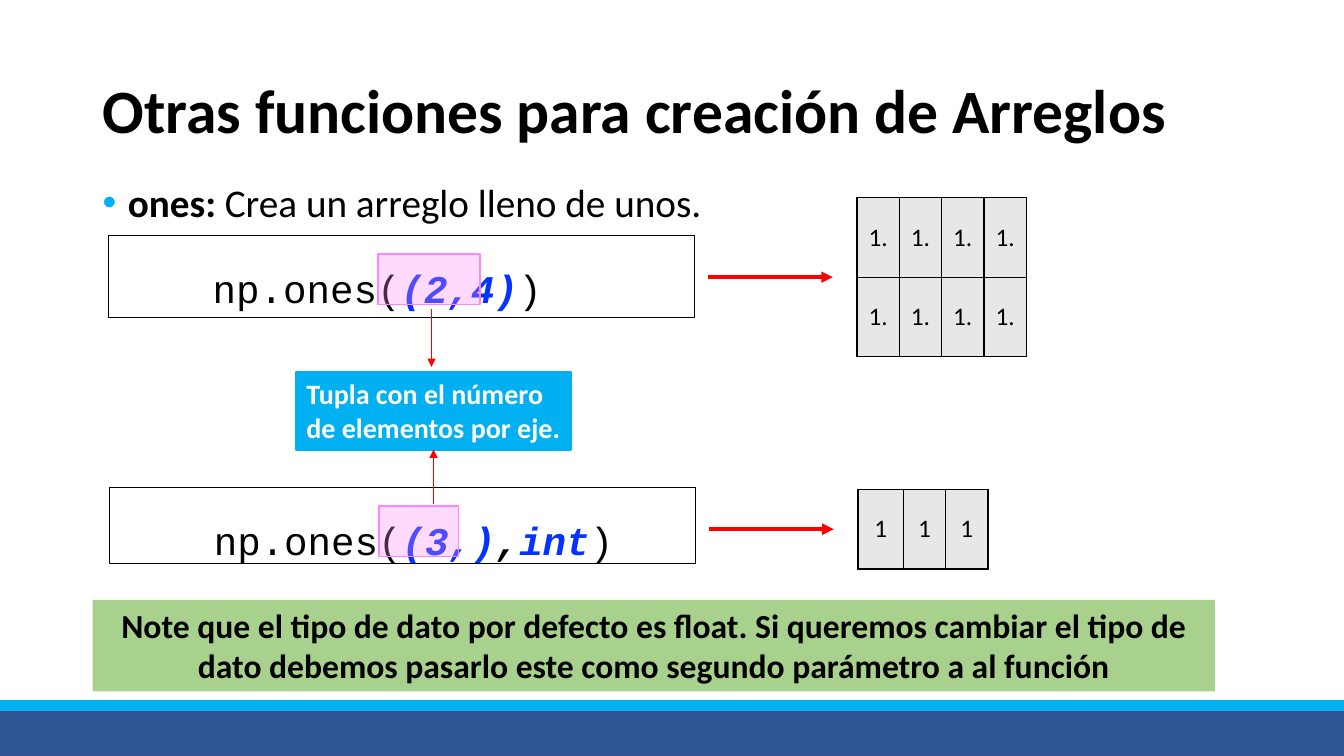
from dataclasses import dataclass

from lxml.etree import SubElement
from pptx import Presentation
from pptx.dml.color import RGBColor
from pptx.enum.shapes import MSO_CONNECTOR, MSO_SHAPE
from pptx.enum.text import MSO_ANCHOR, MSO_AUTO_SIZE, PP_ALIGN
from pptx.oxml.ns import qn
from pptx.util import Inches, Pt


@dataclass(frozen=True)
class Theme:
    black: str = "000000"
    white: str = "FFFFFF"
    sky: str = "00B0F0"
    navy: str = "2F5597"
    edge: str = "325491"
    blue: str = "0432FF"
    red: str = "FF0000"
    pink: str = "FF85FF"
    gray: str = "E7E7E7"
    green: str = "A9D18E"
    sans: str = "Calibri"
    mono: str = "Courier New"
    title: int = 44
    body: int = 28
    note: int = 24
    label: int = 20
    cell: int = 18


THEME = Theme()


def color(code):
    return RGBColor.from_string(code)


def write(frame, runs, size, face=THEME.sans, ink=THEME.black, bold=False,
          align=PP_ALIGN.LEFT, anchor=MSO_ANCHOR.TOP, space=1.0, grow=False, bullet=None):
    frame.word_wrap = True
    frame.vertical_anchor = anchor
    frame.auto_size = MSO_AUTO_SIZE.SHAPE_TO_FIT_TEXT if grow else MSO_AUTO_SIZE.NONE
    para = frame.paragraphs[0]
    para.alignment = align
    para.line_spacing = space
    if bullet:
        props = para._p.get_or_add_pPr()
        props.set("marL", str(Inches(0.25)))
        props.set("indent", str(-Inches(0.25)))
        SubElement(SubElement(props, qn("a:buClr")), qn("a:srgbClr"), val=bullet)
        SubElement(props, qn("a:buFont"), typeface="Arial")
        SubElement(props, qn("a:buChar"), char="•")
    for text, style in [(runs, {})] if isinstance(runs, str) else runs:
        run = para.add_run()
        run.text = text
        font = run.font
        font.name, font.size = face, Pt(size)
        font.bold = style.get("bold", bold)
        font.italic = style.get("italic", False)
        font.color.rgb = color(style.get("ink", ink))


def add_rect(slide, box, fill=None, line=None, width=1, alpha=None):
    rect = slide.shapes.add_shape(MSO_SHAPE.RECTANGLE, *map(Inches, box))
    rect.shadow.inherit = False
    if fill:
        rect.fill.solid()
        rect.fill.fore_color.rgb = color(fill)
        if alpha:
            tone = rect.element.spPr.find(qn("a:solidFill")).find(qn("a:srgbClr"))
            SubElement(tone, qn("a:alpha"), val=str(alpha * 1000))
    else:
        rect.fill.background()
    if line:
        rect.line.color.rgb = color(line)
        rect.line.width = Pt(width)
    else:
        rect.line.fill.background()
    return rect


def add_arrow(slide, start, end, width):
    arrow = slide.shapes.add_connector(MSO_CONNECTOR.STRAIGHT, *map(Inches, start + end))
    arrow.line.color.rgb = color(THEME.red)
    arrow.line.width = Pt(width)
    SubElement(arrow.line._get_or_add_ln(), qn("a:tailEnd"), type="triangle")
    SubElement(arrow._element.spPr, qn("a:effectLst"))
    return arrow


def add_label(slide, box, text, **style):
    write(slide.shapes.add_textbox(*map(Inches, box)).text_frame, text, **style)


def fill_cell(cell, text):
    props = cell._tc.get_or_add_tcPr()
    for side in ("lnL", "lnR", "lnT", "lnB"):
        border = SubElement(props, qn(f"a:{side}"), w=str(Pt(1)))
        SubElement(SubElement(border, qn("a:solidFill")), qn("a:srgbClr"), val=THEME.black)
    cell.fill.solid()
    cell.fill.fore_color.rgb = color(THEME.gray)
    write(cell.text_frame, text, THEME.cell, align=PP_ALIGN.CENTER)
    cell.vertical_anchor = MSO_ANCHOR.MIDDLE


def add_array(slide, left, middle, rows, widths):
    tall = 0.79
    high = tall * len(rows)
    box = (left, middle - high / 2, sum(widths), high)
    table = slide.shapes.add_table(len(rows), len(widths), *map(Inches, box)).table
    table.first_row = table.horz_banding = False
    for column, width in zip(table.columns, widths):
        column.width = Inches(width)
    for line, values in zip(table.rows, rows):
        line.height = Inches(tall)
        for cell, value in zip(line.cells, values):
            fill_cell(cell, value)


def add_sample(slide, box, code, mark, rows, widths):
    left, top, wide, high = box
    middle = top + 0.41
    frame = add_rect(slide, box, line=THEME.black, width=0.75).text_frame
    write(frame, code, THEME.body, face=THEME.mono, space=1.5, grow=True)
    add_rect(slide, (left + 2.67, top + 0.18, mark, 0.5), THEME.pink, THEME.pink, alpha=30)
    add_arrow(slide, (left + wide + 0.13, middle), (left + wide + 1.37, middle), 2.75)
    add_array(slide, left + wide + 1.61, middle, rows, widths)


def add_tuple(slide, box):
    left, top, wide, high = box
    center = left + wide / 2
    rect = add_rect(slide, box, THEME.sky, THEME.sky, 1.5)
    write(rect.text_frame, "Tupla con el número de elementos por eje.", THEME.label,
          ink=THEME.white, bold=True, grow=True)
    add_arrow(slide, (center - 0.02, top - 0.62), (center - 0.02, top - 0.05), 0.5)
    rise = add_arrow(slide, (center, top + high + 0.54), (center, top + high), 0.5)
    rise.end_connect(rect, 2)


def add_footer(slide, box):
    left, top, wide, high = box
    add_rect(slide, (left, top + 0.08, wide, high - 0.08), THEME.navy, THEME.edge)
    add_rect(slide, (left, top, wide, 0.1), THEME.sky, THEME.sky)


def add_head(slide, box):
    left, top, wide, high = box
    add_label(slide, (left, top, wide, 1.45), "Otras funciones para creación de Arreglos",
              size=THEME.title, bold=True, anchor=MSO_ANCHOR.MIDDLE, space=0.9)
    add_label(slide, (left, top + 1.37, wide, high - 1.37),
              [("ones: ", {"bold": True}), ("Crea un arreglo lleno de unos.", {})],
              size=THEME.body, space=0.9, bullet=THEME.sky)


def add_note(slide, box):
    write(add_rect(slide, box, THEME.green).text_frame,
          "Note que el tipo de dato por defecto es float. Si queremos cambiar el tipo de "
          "dato debemos pasarlo este como segundo parámetro a al función",
          THEME.note, bold=True, align=PP_ALIGN.CENTER, grow=True)


def main():
    deck = Presentation()
    deck.slide_width, deck.slide_height = Inches(13.33), Inches(7.5)
    slide = deck.slides.add_slide(deck.slide_layouts[6])
    strong = {"bold": True, "italic": True}
    value = {**strong, "ink": THEME.blue}
    call = ("    np.ones(", {})
    close = (")", {})
    add_footer(slide, (0, 6.95, 13.33, 0.55))
    add_head(slide, (0.92, 0.4, 11.5, 6.13))
    add_sample(slide, (1.08, 2.34, 5.81, 0.81), [call, ("(2,4)", value), close],
               1.01, [["1."] * 4] * 2, [0.42] * 4)
    add_sample(slide, (1.09, 4.84, 5.81, 0.75),
               [call, ("(3,)", value), (",", strong), ("int", value), close],
               0.79, [["1"] * 3], [0.45, 0.42, 0.42])
    add_tuple(slide, (2.94, 3.69, 2.72, 0.77))
    add_note(slide, (0.92, 5.95, 11.13, 0.91))
    deck.save("out.pptx")


if __name__ == "__main__":
    main()
